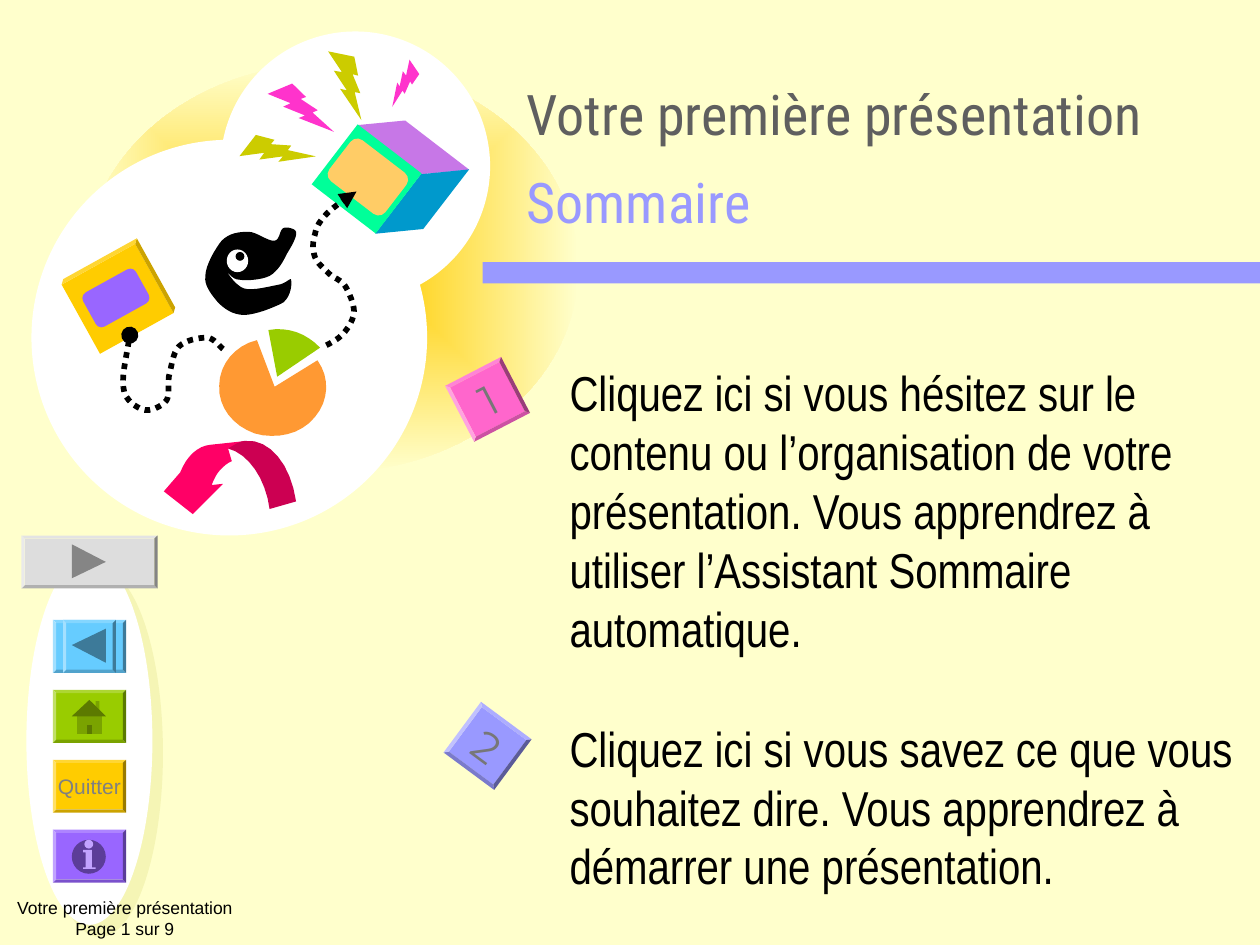
from lxml import etree
from pptx import Presentation
from pptx.dml.color import RGBColor
from pptx.enum.dml import MSO_LINE
from pptx.enum.shapes import MSO_SHAPE as S
from pptx.enum.text import MSO_ANCHOR, MSO_AUTO_SIZE, PP_ALIGN
from pptx.oxml import parse_xml
from pptx.oxml.ns import nsdecls, qn
from pptx.util import Inches, Pt

DOTTED = MSO_LINE.ROUND_DOT
THEME = {
    "background": "FFFFCC", "white": "FFFFFF", "black": "000000", "accent": "9999FF",
    "title": "5F5F5F", "digit": "777777", "label": "808080", "glow": "FFCC00",
    "shadow": "F5F5B5", "pink": "FF33CC", "olive": "CCCC00",
    "title_font": "Roboto Condensed", "body_font": "Arial Narrow",
    "small_font": "Arial", "digit_font": "Montserrat",
    "title_size": 32, "body_size": 28, "digit_size": 24, "label_size": 12, "footer_size": 10,
}

# Content
TITLE = [("Votre première présentation", THEME["title"]), ("Sommaire", THEME["accent"])]
CHOICES = [
    "Cliquez ici si vous hésitez sur le contenu ou l’organisation de votre présentation. "
    "Vous apprendrez à utiliser l’Assistant Sommaire automatique.",
    "Cliquez ici si vous savez ce que vous souhaitez dire. "
    "Vous apprendrez à démarrer une présentation.",
]
FOOTER = "Votre première présentation\vPage 1 sur 9"

# Preset shapes: kind, (left, top, width, height), colour, rotation, adjustment
DISCS = [
    (S.OVAL, (0.67, 0.5, 3.92, 3.25), THEME["glow"]),
    (S.OVAL, (1.75, 0.25, 2.14, 2.14), THEME["white"]),
    (S.OVAL, (0.25, 1.11, 3.14, 3.14), THEME["white"]),
]
BOXES = [
    (S.PARALLELOGRAM, (2.82, 1.04, 0.92, 0.26), "C777E7", 37.5, 1.074),
    (S.PARALLELOGRAM, (2.92, 1.46, 0.86, 0.28), "0099CC", 127.6, 0.942),
    (S.RECTANGLE, (2.59, 1.12, 0.64, 0.6), "00FF99", 37.5),
    (S.ROUNDED_RECTANGLE, (2.64, 1.2, 0.56, 0.41), "FFCC66", 37.5, 0.167),
    (S.CUBE, (0.59, 2.02, 0.7, 0.66), "FFCC00", 331, 0.049),
    (S.ROUNDED_RECTANGLE, (0.68, 2.21, 0.48, 0.31), "9966FF", 331, 0.167),
]
EYE = [
    (S.OVAL, (1.8, 1.98, 0.17, 0.18), THEME["white"]),
    (S.OVAL, (1.87, 2, 0.07, 0.07), THEME["black"]),
]
BOLTS = [
    (S.LIGHTNING_BOLT, (2.13, 0.66, 0.51, 0.4), THEME["pink"], 357),
    (S.LIGHTNING_BOLT, (2.5, 0.45, 0.51, 0.4), THEME["olive"], 31.4),
    (S.LIGHTNING_BOLT, (3.04, 0.52, 0.33, 0.27), THEME["pink"], 76.2),
    (S.LIGHTNING_BOLT, (1.93, 1.01, 0.51, 0.4), THEME["olive"], 327.4),
]

# Outlines: a pair is a straight step, six numbers are a Bezier step
PIE = [(2.04, 2.7), (1.87, 2.74, 1.74, 2.89, 1.74, 3.06), (1.73, 3.23, 1.85, 3.38, 2.02, 3.44),
       (2.19, 3.49, 2.39, 3.45, 2.5, 3.31), (2.61, 3.18, 2.62, 3, 2.52, 2.86), (2.18, 3.07)]
SLICE = [(2.54, 2.76), (2.44, 2.65, 2.28, 2.59, 2.13, 2.62), (2.2, 2.99)]
FACE = [(2.18, 1.91), (2.13, 1.92, 2.04, 1.84, 1.97, 1.84), (1.9, 1.84, 1.82, 1.85, 1.76, 1.91),
        (1.71, 1.97, 1.63, 2.11, 1.63, 2.19), (1.62, 2.27, 1.68, 2.34, 1.73, 2.4),
        (1.78, 2.45, 1.85, 2.5, 1.94, 2.5), (2.02, 2.5, 2.18, 2.44, 2.25, 2.4),
        (2.31, 2.35, 2.32, 2.25, 2.31, 2.22), (2.31, 2.2, 2.27, 2.25, 2.21, 2.26),
        (2.15, 2.27, 2.01, 2.31, 1.94, 2.29), (1.87, 2.27, 1.8, 2.16, 1.8, 2.15),
        (1.79, 2.14, 1.84, 2.22, 1.9, 2.22), (1.96, 2.23, 2.08, 2.22, 2.14, 2.19),
        (2.21, 2.15, 2.25, 2.07, 2.28, 2.01), (2.31, 1.96, 2.36, 1.88, 2.35, 1.84),
        (2.34, 1.81, 2.27, 1.8, 2.25, 1.81), (2.22, 1.82, 2.22, 1.91, 2.18, 1.91)]
ARROW_HEAD = [(1.95, 3.5), (1.67, 3.53), (1.57, 3.54, 1.48, 3.62, 1.43, 3.75), (1.3, 3.9),
              (1.53, 4.08), (1.77, 3.84), (1.68, 3.85), (1.71, 3.76, 1.77, 3.69, 1.84, 3.66),
              (1.81, 3.56)]
ARROW_TAIL = [(2.35, 3.98), (2.31, 3.69, 2.14, 3.48, 1.95, 3.5), (1.92, 3.5, 1.9, 3.51, 1.88, 3.52),
              (1.81, 3.56), (1.97, 3.6, 2.11, 3.8, 2.14, 4.04)]
OUTLINES = [(PIE, "FF9933"), (SLICE, "99CC00"), (FACE, THEME["black"]),
            (ARROW_HEAD, "FF0066"), (ARROW_TAIL, "CC0052")]
TRAILS = [
    ("oval", [(1.77, 2.77), (1.75, 2.76, 1.7, 2.68, 1.64, 2.68), (1.58, 2.68, 1.47, 2.7, 1.42, 2.75),
              (1.37, 2.8, 1.36, 2.92, 1.34, 2.99), (1.33, 3.06, 1.35, 3.14, 1.32, 3.18),
              (1.28, 3.23, 1.19, 3.27, 1.13, 3.25), (1.08, 3.23, 0.99, 3.18, 0.98, 3.08),
              (0.96, 2.99, 1.02, 2.75, 1.03, 2.66)]),
    ("triangle", [(2.59, 2.74), (2.65, 2.71, 2.7, 2.68, 2.74, 2.63),
                  (2.77, 2.59, 2.81, 2.53, 2.81, 2.47), (2.81, 2.41, 2.77, 2.32, 2.74, 2.27),
                  (2.71, 2.22, 2.65, 2.21, 2.61, 2.17), (2.57, 2.13, 2.52, 2.09, 2.5, 2.04),
                  (2.48, 1.98, 2.48, 1.92, 2.5, 1.86), (2.51, 1.8, 2.54, 1.75, 2.6, 1.69),
                  (2.65, 1.64, 2.78, 1.55, 2.83, 1.52)]),
]

# Navigation column: equal rows; icons are measured from the row's top
BUTTON_LEFT, BUTTON_TOP, BUTTON_WIDTH, BUTTON_HEIGHT, BUTTON_PITCH = 0.42, 4.92, 0.58, 0.42, 0.555
BUTTON_COLOURS = ["66CCFF", "99CC00", "FFCC00", "9966FF"]
FORWARD = [(0.57, 0.07), (0.84, 0.21), (0.57, 0.34)]
BACK = [(0.57, 0.2), (0.84, 0.07), (0.84, 0.34)]
HOUSE = [
    ([(0.76, 0.09), (0.79, 0.09), (0.79, 0.16), (0.76, 0.13)], "7AA300"),
    ([(0.61, 0.21), (0.81, 0.21), (0.81, 0.35), (0.61, 0.35)], "7AA300"),
    ([(0.71, 0.08), (0.84, 0.21), (0.57, 0.21)], "5C7A00"),
    ([(0.69, 0.28), (0.73, 0.28), (0.73, 0.35), (0.69, 0.35)], "5C7A00"),
]
LETTER_I = [(0.66, 0.16), (0.73, 0.16), (0.73, 0.3), (0.76, 0.3), (0.76, 0.31),
            (0.66, 0.31), (0.66, 0.3), (0.68, 0.3), (0.68, 0.18), (0.66, 0.18)]
DIGITS = [("2", 5.67, THEME["accent"], 36.5), ("1", 2.92, "FF66CC", 332.6)]

presentation = Presentation()
presentation.slide_width, presentation.slide_height = Inches(10), Inches(7.5)
slide = presentation.slides.add_slide(presentation.slide_layouts[0])
shapes = slide.shapes


def paint(shape, colour):
    shape.shadow.inherit = False
    shape.fill.solid()
    shape.fill.fore_color.rgb = RGBColor.from_string(colour)
    shape.line.fill.background()
    return shape


def add_preset(kind, box, colour, rotation=0, adjustment=None):
    shape = paint(shapes.add_shape(kind, *map(Inches, box)), colour)
    shape.rotation = rotation
    if adjustment is not None:
        shape.adjustments[0] = adjustment
    return shape


def add_outline(steps, colour, top=0, closed=True, samples=8):
    points = [steps[0]]
    for step in steps[1:]:
        if len(step) == 2:
            points.append(step)
            continue
        curve = [points[-1], step[:2], step[2:4], step[4:]]
        for t in (n / samples for n in range(1, samples + 1)):
            weights = ((1 - t) ** 3, 3 * t * (1 - t) ** 2, 3 * t * t * (1 - t), t ** 3)
            points.append(tuple(sum(w * p[axis] for w, p in zip(weights, curve)) for axis in (0, 1)))
    points = [(x * 1000, (y + top) * 1000) for x, y in points]
    builder = shapes.build_freeform(*points[0], scale=Inches(1) / 1000)
    builder.add_line_segments(points[1:], close=closed)
    return paint(builder.convert_to_shape(), colour)


def style(paragraph, font, size, colour=None, align=PP_ALIGN.LEFT):
    paragraph.alignment = align
    paragraph.font.name, paragraph.font.size = THEME[font], Pt(THEME[size])
    if colour:
        paragraph.font.color.rgb = RGBColor.from_string(THEME[colour])


def add_label(shape, text, font, size, colour):
    frame = shape.text_frame
    frame.text, frame.word_wrap, frame.vertical_anchor = text, False, MSO_ANCHOR.MIDDLE
    style(frame.paragraphs[0], font, size, colour, PP_ALIGN.CENTER)


def place(shape, box):
    shape.left, shape.top, shape.width, shape.height = map(Inches, box)
    shapes._spTree.append(shape._element)
    shape.text_frame.word_wrap, shape.text_frame.auto_size = True, MSO_AUTO_SIZE.NONE
    return shape.text_frame


# Background and illustration
slide.background.fill.solid()
slide.background.fill.fore_color.rgb = RGBColor.from_string(THEME["background"])
glow, *_ = [add_preset(*disc) for disc in DISCS]
glow.fill.gradient()
for stop, colour in zip(glow.fill.gradient_stops, ("glow", "background")):
    stop.color.rgb = RGBColor.from_string(THEME[colour])
gradient = glow._element.spPr.find(qn("a:gradFill"))
gradient.replace(gradient.find(qn("a:lin")), parse_xml(
    f'<a:path {nsdecls("a")} path="rect"><a:fillToRect l="50000" t="50000" r="50000" b="50000"/></a:path>'))
boxes = [add_preset(*box) for box in BOXES]
boxes[1]._element.spPr.find(qn("a:xfrm")).set("flipH", "1")
for steps, colour in OUTLINES:
    add_outline(steps, colour)
for preset in EYE + BOLTS:
    add_preset(*preset)
for end, steps in TRAILS:
    trail = add_outline(steps, THEME["black"], closed=False)
    trail.fill.background()
    trail.line.color.rgb = RGBColor.from_string(THEME["black"])
    trail.line.width, trail.line.dash_style = Pt(3.25), DOTTED
    etree.SubElement(trail.line._get_or_add_ln(), qn("a:tailEnd"), type=end)
add_preset(S.RECTANGLE, (3.83, 2.08, 6.17, 0.17), THEME["accent"])

# Navigation column
column = add_preset(S.OVAL, (0.21, 4.42, 1, 2.92), THEME["white"])
column._element.spPr.find(qn("a:effectLst")).append(parse_xml(
    f'<a:outerShdw {nsdecls("a")} dist="{Pt(9.2)}" dir="{49 * 60000}" algn="ctr" rotWithShape="0">'
    f'<a:srgbClr val="{THEME["shadow"]}"/></a:outerShdw>'))
rows = [BUTTON_TOP + BUTTON_PITCH * n for n in range(len(BUTTON_COLOURS))]
buttons = [add_preset(S.BEVEL, (BUTTON_LEFT, top, BUTTON_WIDTH, BUTTON_HEIGHT), colour, 0, 0.06)
           for top, colour in zip(rows, BUTTON_COLOURS)]
add_preset(S.BEVEL, (0.5, rows[0], BUTTON_HEIGHT, BUTTON_HEIGHT), BUTTON_COLOURS[0], 0, 0.06)
add_outline(BACK, "3D7A99", rows[0])
for steps, colour in HOUSE:
    add_outline(steps, colour, rows[1])
add_label(buttons[2], "Quitter", "small_font", "label_size", "label")
add_preset(S.OVAL, (0.57, rows[3] + 0.08, 0.27, 0.27), "5C3D99")
add_preset(S.OVAL, (0.67, rows[3] + 0.08, 0.07, 0.07), "C2A3FF")
add_outline(LETTER_I, "C2A3FF", rows[3])
add_preset(S.BEVEL, (0.17, 4.25, 1.08, BUTTON_HEIGHT), "DDDDDD", 0, 0.06)
add_outline(FORWARD, "858585", 4.25)

# Title, choices and footer
frame = place(shapes.title, (4.08, 0.58, 5.75, 1.33))
frame.vertical_anchor = MSO_ANCHOR.BOTTOM
paragraph = frame.paragraphs[0]
paragraph.line_spacing = 1.3
style(paragraph, "title_font", "title_size")
for number, (text, colour) in enumerate(TITLE):
    if number:
        paragraph.add_line_break()
    run = paragraph.add_run()
    run.text, run.font.color.rgb = text, RGBColor.from_string(colour)
frame = place(slide.placeholders[1], (4.42, 2.83, 5.58, 4.42))
frame.vertical_anchor = MSO_ANCHOR.TOP
frame.text = "\n".join(CHOICES)
for number, paragraph in enumerate(frame.paragraphs):
    paragraph.space_before = Pt(35 if number else 0)
    style(paragraph, "body_font", "body_size", "black")
footer = shapes.add_textbox(*map(Inches, (0.13, 7.07, 1.72, 0.44))).text_frame
footer.margin_left = footer.margin_right = 0
footer.text = FOOTER
footer.word_wrap = False
style(footer.paragraphs[0], "small_font", "footer_size", "black", PP_ALIGN.CENTER)
for digit, top, colour, rotation in DIGITS:
    tile = add_preset(S.BEVEL, (3.62, top, 0.5, 0.5), colour, rotation, 0.06)
    add_label(tile, digit, "digit_font", "digit_size", "digit")

presentation.save("out.pptx")
